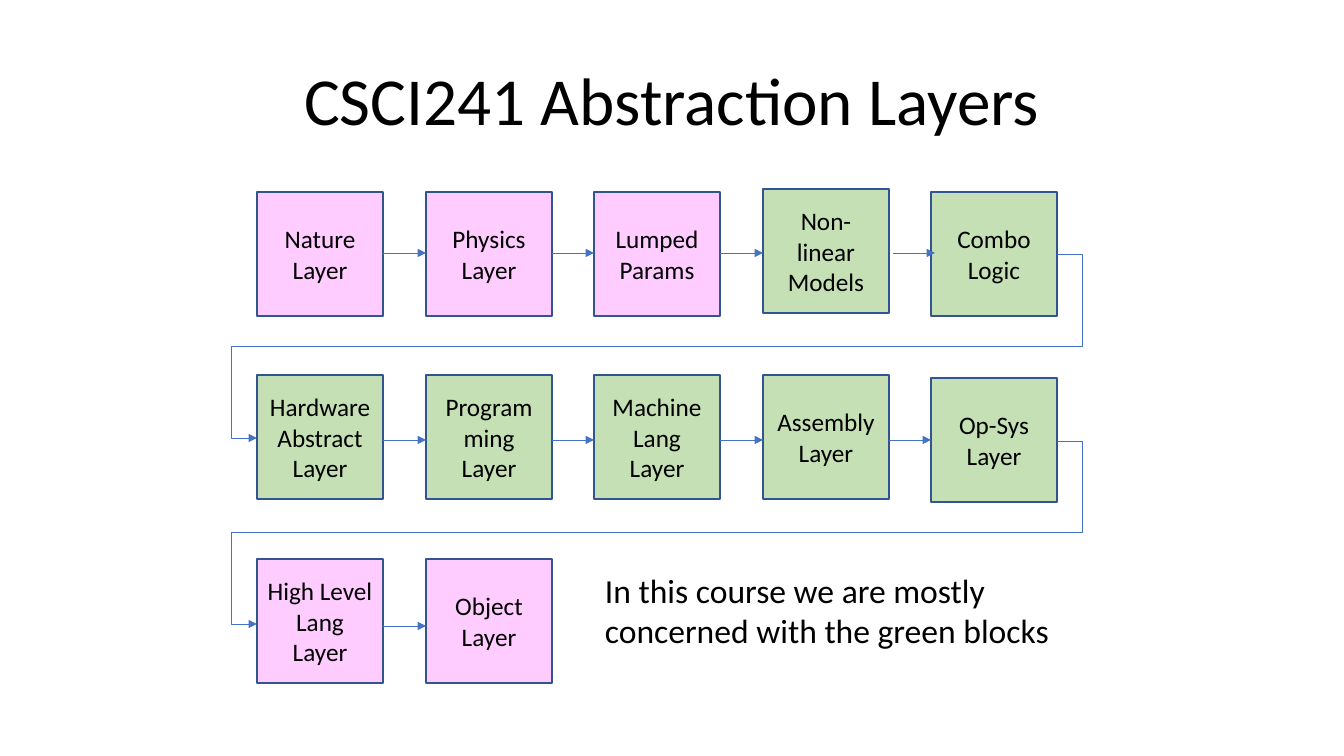
from dataclasses import dataclass

from lxml import etree
from pptx import Presentation
from pptx import util as u
from pptx.dml.color import RGBColor
from pptx.enum import shapes, text
from pptx.oxml import ns

EMU_PER_PIXEL = 914400 / 100.8
FONT = "Calibri"
BLACK, PINK, GREEN = "000000", "FFCCFF", "C5E0B4"
BORDER, ARROW = "325491", "4472C4"
BOX_WIDTH, BOX_HEIGHT = 126, 124
FIRST_LEFT, COLUMN_PITCH = 257, 168.6
ROW_TOPS = (192, 375, 559)
ARROW_LEVELS = (253, 440, 626)


@dataclass
class Layer:
    label: str
    row: int
    column: int
    fill: str
    shift: int = 0  # vertical offset from the row

    @property
    def left(self) -> int:
        return round(FIRST_LEFT + COLUMN_PITCH * self.column)


@dataclass
class Arrow:
    start: tuple[int, int]
    end: tuple[int, int]
    adjustments: tuple[int, ...] = ()  # set for arrows that wrap to the next row


LAYERS = [
    Layer("Nature\nLayer", 0, 0, PINK),
    Layer("Physics Layer", 0, 1, PINK),
    Layer("Lumped Params", 0, 2, PINK),
    Layer("Non-linear Models", 0, 3, GREEN, -3),
    Layer("Combo Logic", 0, 4, GREEN),
    Layer("Hardware\nAbstract\nLayer", 1, 0, GREEN),
    Layer("Programming\nLayer", 1, 1, GREEN),
    Layer("Machine Lang Layer", 1, 2, GREEN),
    Layer("Assembly\nLayer", 1, 3, GREEN),
    Layer("Op-Sys\nLayer", 1, 4, GREEN, 3),
    Layer("High Level Lang Layer", 2, 0, PINK),
    Layer("Object Layer", 2, 1, PINK),
]


def px(pixels: float) -> u.Emu:
    return u.Emu(round(pixels * EMU_PER_PIXEL))


def color(value: str) -> RGBColor:
    return RGBColor.from_string(value)


def write(shape, words: str, size: int, align, anchor) -> None:
    frame = shape.text_frame
    frame.text = words
    frame.word_wrap = True
    frame.vertical_anchor = anchor
    for para in frame.paragraphs:
        para.alignment = align
        para.font.name = FONT
        para.font.size = u.Pt(size)
        para.font.color.rgb = color(BLACK)


def draw_layer(page, layer: Layer) -> None:
    top = ROW_TOPS[layer.row] + layer.shift
    box = page.shapes.add_shape(shapes.MSO_SHAPE.RECTANGLE, px(layer.left), px(top),
                                px(BOX_WIDTH), px(BOX_HEIGHT))
    box.shadow.inherit = False
    box.fill.solid()
    box.fill.fore_color.rgb = color(layer.fill)
    box.line.color.rgb = color(BORDER)
    box.line.width = u.Pt(1)
    write(box, layer.label, 18, text.PP_ALIGN.CENTER, text.MSO_ANCHOR.MIDDLE)


def draw_arrow(page, arrow: Arrow) -> None:
    line = page.shapes.add_connector(shapes.MSO_CONNECTOR.ELBOW,
                                     *map(px, arrow.start + arrow.end))
    line.line.color.rgb = color(ARROW)
    line.line.width = u.Pt(0.5)
    properties = line._element.spPr
    etree.SubElement(properties.find(ns.qn("a:ln")), ns.qn("a:tailEnd"), type="triangle")
    etree.SubElement(properties, ns.qn("a:effectLst"))
    if arrow.adjustments:
        geometry = properties.find(ns.qn("a:prstGeom"))
        geometry.set("prst", "bentConnector5")
        guides = geometry.find(ns.qn("a:avLst"))
        if guides is None:
            guides = etree.SubElement(geometry, ns.qn("a:avLst"))
        for number, value in enumerate(arrow.adjustments, start=1):
            etree.SubElement(guides, ns.qn("a:gd"), name=f"adj{number}", fmla=f"val {value}")


def arrow_between(source: Layer, target: Layer) -> Arrow:
    level = ARROW_LEVELS[source.row]
    right = source.left + BOX_WIDTH
    if source.row != target.row:
        drop = 184 if source.row == 0 else 183
        return Arrow((right, level + 1), (target.left, level + 1 + drop), (-3200, 50000, 103200))
    # The arrow into Combo Logic sits slightly to the right
    nudge = 4 if target.label == "Combo Logic" else 0
    return Arrow((right + nudge, level), (target.left + nudge, level))


deck = Presentation()
deck.slide_width, deck.slide_height = px(1344), px(756)
page = deck.slides.add_slide(deck.slide_layouts[5])

# Title
title = page.shapes.title
title.left, title.top, title.width, title.height = map(px, (168, 62, 1008, 84))
write(title, "CSCI241 Abstraction Layers", 48, text.PP_ALIGN.CENTER, text.MSO_ANCHOR.MIDDLE)
title.text_frame.paragraphs[0].line_spacing = 0.9

# Layer boxes
for layer in LAYERS:
    draw_layer(page, layer)

# Remark
remark = page.shapes.add_textbox(*map(px, (595, 565, 540, 92)))
write(remark, "In this course we are mostly concerned with the green blocks", 24,
      text.PP_ALIGN.LEFT, text.MSO_ANCHOR.TOP)

# Arrows from each layer to the next
for source, target in zip(LAYERS, LAYERS[1:]):
    draw_arrow(page, arrow_between(source, target))

deck.save("out.pptx")
